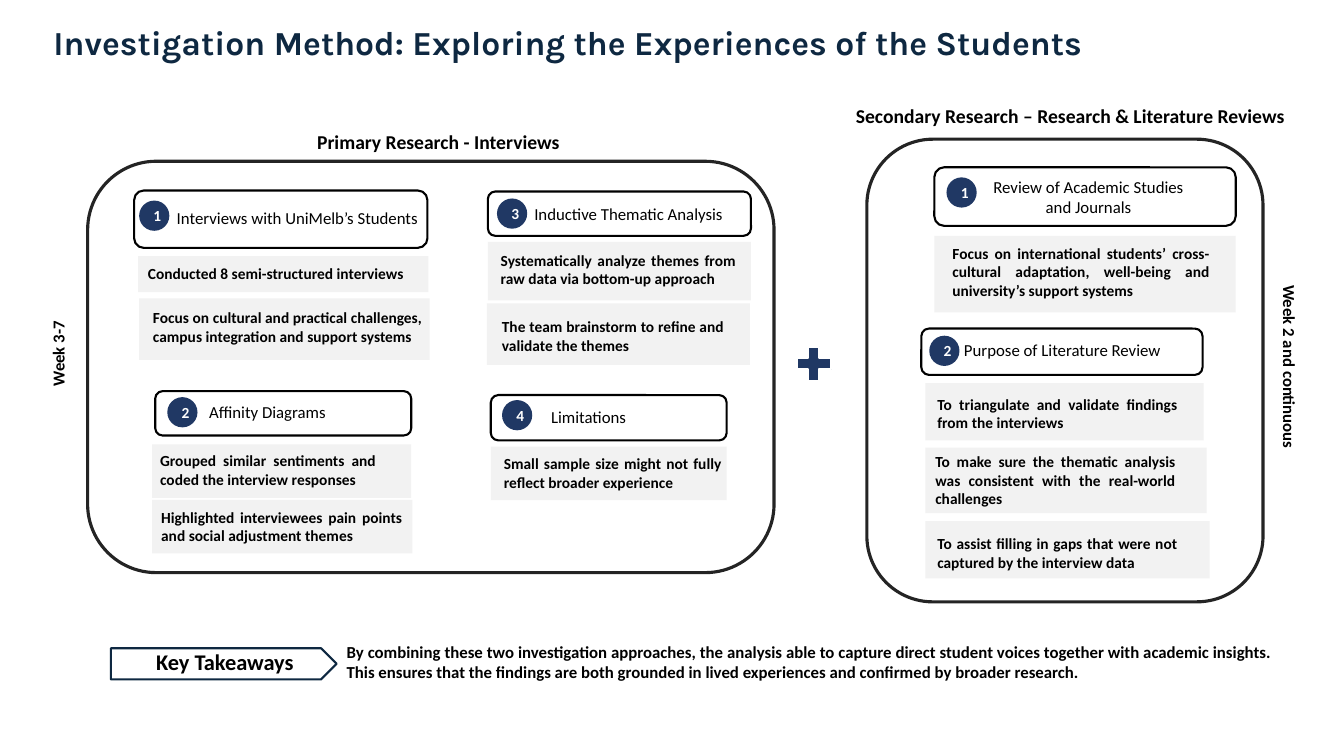
"""Build the investigation method slide with its two research panels."""
from dataclasses import dataclass
from typing import Optional

import pptx
import pptx.dml.color
import pptx.enum.shapes
import pptx.enum.text
import pptx.util

Pt = pptx.util.Pt
SHAPE = pptx.enum.shapes.MSO_SHAPE
ALIGN = pptx.enum.text.PP_ALIGN
ANCHOR = pptx.enum.text.MSO_ANCHOR
AUTO = pptx.enum.text.MSO_AUTO_SIZE

BLACK, WHITE, GREY = "000000", "FFFFFF", "F2F2F2"
NAVY, BLUE, CHARCOAL = "0E2841", "203864", "242424"
DOT = 21.6
CARD_LINE, INSETS = 13.4, 7.2

Box = tuple[float, float, float, float]


@dataclass
class Card:
    box: Box
    text_left: float
    text_top: float
    text_width: float
    lines: int
    text: str


@dataclass
class Topic:
    number: int
    label: str
    box: Box
    label_box: Box
    dot: tuple[float, float]
    cards: list[Card]


@dataclass
class Caption:
    text: str
    box: Box
    size: float
    align: ALIGN = ALIGN.CENTER
    rotation: float = 0


@dataclass
class Panel:
    box: Box
    heading: Caption
    week: Caption
    topics: list[Topic]


PANELS = [
    Panel(
        (62.6, 115.2, 490.3, 293.8),
        Caption("Primary Research - Interviews", (92.2, 89.3, 442, 24.5), 14),
        Caption("Week 3-7", (7.2, 241.9, 68.4, 21.6), 12, rotation=270),
        [
            Topic(1, "Interviews with UniMelb’s Students", (95.8, 136.1, 209.5, 41),
                  (113.8, 144.7, 197.3, 21.6), (99.4, 143.3), [
                Card((98.6, 182.9, 207.4, 25.9), 98.6, 185, 198, 1,
                     "Conducted 8 semi-structured interviews"),
                Card((99.4, 213.1, 207.4, 43.9), 102.2, 216.7, 206.6, 2,
                     "Focus on cultural and practical challenges, "
                     "campus integration and support systems"),
            ]),
            Topic(2, "Affinity Diagrams", (110.9, 279.4, 182.9, 31.7),
                  (113, 283.7, 156.2, 21.6), (119.5, 283.7), [
                Card((108.7, 317.5, 185, 38.2), 107.3, 319, 168.5, 2,
                     "Grouped similar sentiments and coded the interview responses"),
                Card((108.7, 357.1, 185.8, 38.2), 108, 359.3, 186.5, 2,
                     "Highlighted interviewees pain points and social adjustment themes"),
            ]),
            Topic(3, "Inductive Thematic Analysis", (348.5, 136.8, 187.9, 31.7),
                  (355, 141.8, 187.9, 21.6), (355, 141.8), [
                Card((348.5, 172.8, 187.9, 41.8), 350.6, 175.7, 182.2, 2,
                     "Systematically analyze themes from raw data via bottom-up approach"),
                Card((347.8, 216.7, 187.9, 43.9), 351.4, 223.2, 172.8, 2,
                     "The team brainstorm to refine and validate the themes"),
            ]),
            Topic(4, "Limitations", (350.6, 282.2, 168.5, 32.4),
                  (342.7, 287.3, 155.5, 21.6), (358.6, 285.8), [
                Card((350.6, 319, 168.5, 38.2), 352.8, 321.1, 169.9, 2,
                     "Small sample size might not fully reflect broader experience"),
            ]),
        ],
    ),
    Panel(
        (619.2, 99.4, 283, 330.5),
        Caption("Secondary Research – Research & Literature Reviews",
                (602.6, 70.6, 324, 24.5), 14),
        Caption("Week 2 and continuous", (841, 251.3, 160.6, 21.6), 12, rotation=90),
        [
            Topic(1, "Review of Academic Studies and Journals", (667.4, 119.5, 215.3, 41.8),
                  (699.8, 122.4, 155.5, 36), (676.1, 126.7), [
                Card((667.4, 168.5, 215.3, 54.7), 673.2, 170.6, 198, 3,
                     "Focus on international students’ cross-cultural adaptation, "
                     "well-being and university’s support systems"),
            ]),
            Topic(2, "Purpose of Literature Review", (658.1, 234.7, 200.9, 33.1),
                  (681.1, 239, 155.5, 21.6), (663.8, 239.8), [
                Card((661, 273.6, 198.7, 41), 662.4, 278.6, 185.8, 2,
                     "To triangulate and validate findings from the interviews"),
                Card((661, 319.7, 200.9, 46.8), 661, 319.7, 185.8, 3,
                     "To make sure the thematic analysis was consistent "
                     "with the real-world challenges"),
                Card((661, 372.2, 203, 41), 662.4, 378, 185.8, 2,
                     "To assist filling in gaps that were not captured by the interview data"),
            ]),
        ],
    ),
]

TAKEAWAYS = [
    Caption("Key Takeaways", (99.4, 459.4, 122.4, 26.6), 16),
    Caption("By combining these two investigation approaches, the analysis able to capture "
            "direct student voices together with academic insights. This ensures that the "
            "findings are both grounded in lived experiences and confirmed by broader research.",
            (240.5, 455, 675.4, 36), 12, ALIGN.JUSTIFY),
]


def rgb(color: str) -> pptx.dml.color.RGBColor:
    return pptx.dml.color.RGBColor.from_string(color)


def write(sp, text: str, size: float, color: str = BLACK, bold: bool = True,
          align: ALIGN = ALIGN.CENTER, font: str = "Calibri") -> None:
    tf = sp.text_frame
    tf.text = text
    p = tf.paragraphs[0]
    p.alignment = align
    r = p.runs[0]
    r.font.name, r.font.size, r.font.bold = font, Pt(size), bold
    r.font.color.rgb = rgb(color)


def add_block(s, kind: SHAPE, box: Box, fill: Optional[str] = None,
              line: Optional[str] = None, width: float = 1.5):
    sp = s.shapes.add_shape(kind, *map(Pt, box))
    sp.shadow.inherit = False
    if fill:
        sp.fill.solid()
        sp.fill.fore_color.rgb = rgb(fill)
    else:
        sp.fill.background()
    if line:
        sp.line.color.rgb = rgb(line)
        sp.line.width = Pt(width)
    else:
        sp.line.fill.background()
    return sp


def add_caption(s, caption: Caption, bold: bool = True) -> None:
    sp = s.shapes.add_textbox(*map(Pt, caption.box))
    sp.rotation = caption.rotation
    sp.text_frame.word_wrap = True
    sp.text_frame.auto_size = AUTO.SHAPE_TO_FIT_TEXT
    write(sp, caption.text, caption.size, bold=bold, align=caption.align)


def add_topic(s, topic: Topic) -> None:
    add_block(s, SHAPE.ROUNDED_RECTANGLE, topic.box, WHITE, BLACK)
    add_caption(s, Caption(topic.label, topic.label_box, 12), bold=False)
    dot = add_block(s, SHAPE.OVAL, (*topic.dot, DOT, DOT), BLUE)
    dot.text_frame.vertical_anchor = ANCHOR.MIDDLE
    write(dot, str(topic.number), 11, WHITE)
    for card in topic.cards:
        add_block(s, SHAPE.RECTANGLE, card.box, GREY)
        text_box = (card.text_left, card.text_top, card.text_width,
                    card.lines * CARD_LINE + INSETS)
        add_caption(s, Caption(card.text, text_box, 11, ALIGN.JUSTIFY))


def add_title(s, text: str) -> None:
    sp = s.shapes.title
    sp.left, sp.top, sp.width, sp.height = map(Pt, (31, 15.1, 810.7, 41))
    write(sp, text, 24, NAVY, align=ALIGN.LEFT, font="Karla")
    tf = sp.text_frame
    tf.vertical_anchor, tf.auto_size, tf.word_wrap = ANCHOR.TOP, AUTO.NONE, True
    tf.paragraphs[0].line_spacing = 0.9


def main() -> None:
    prs = pptx.Presentation()
    prs.slide_width, prs.slide_height = Pt(960), Pt(540)
    s = prs.slides.add_slide(prs.slide_layouts[5])
    add_title(s, "Investigation Method: Exploring the Experiences of the Students")
    for panel in PANELS:
        add_block(s, SHAPE.ROUNDED_RECTANGLE, panel.box, line=CHARCOAL, width=2.25)
        add_caption(s, panel.heading)
        add_caption(s, panel.week)
        for topic in panel.topics:
            add_topic(s, topic)
    add_block(s, SHAPE.MATH_PLUS, (564.5, 243.4, 33.8, 33.1), BLUE, WHITE)
    add_block(s, SHAPE.PENTAGON, (79.2, 463, 161.3, 22.3), WHITE, NAVY)
    for caption in TAKEAWAYS:
        add_caption(s, caption)
    prs.save("out.pptx")


if __name__ == "__main__":
    main()
